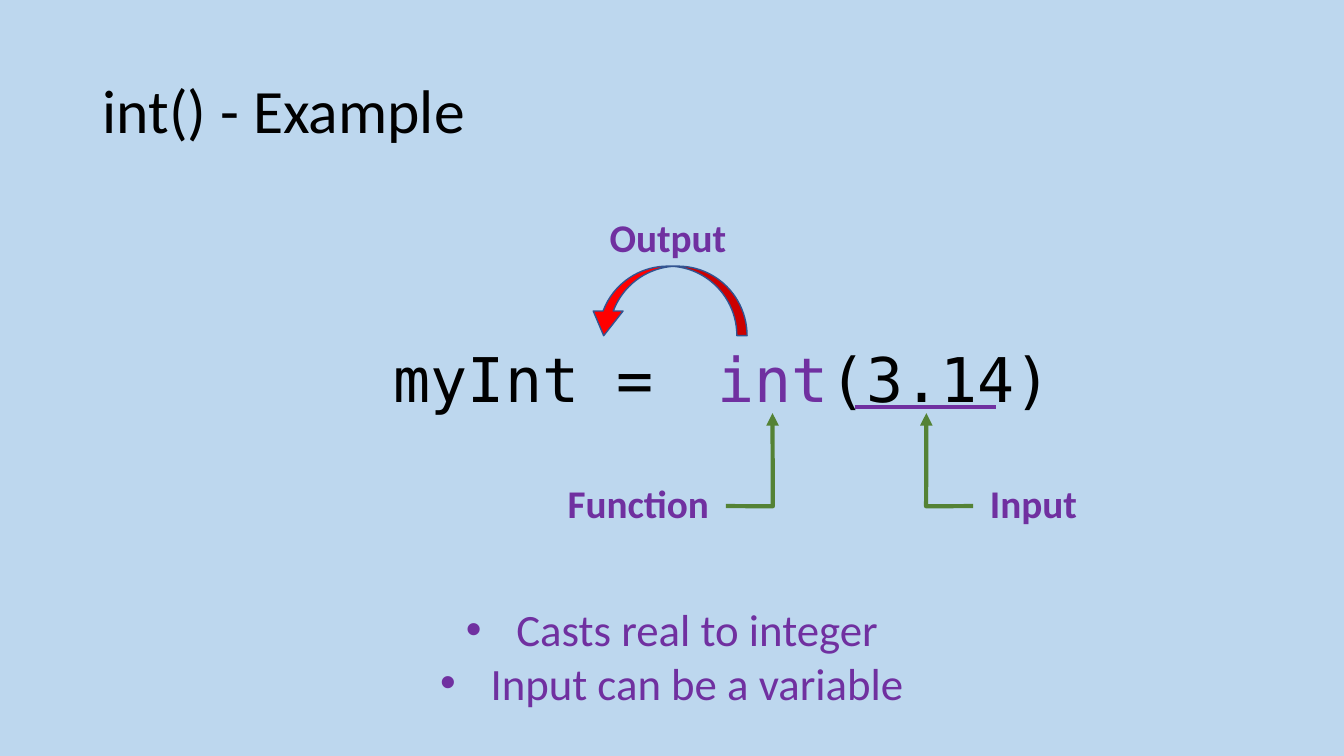
from lxml.etree import SubElement as Sub
from pptx import Presentation
from pptx.dml.color import RGBColor as Rgb
from pptx.enum.shapes import MSO_CONNECTOR as Conn, MSO_SHAPE as Geo
from pptx.enum.text import MSO_ANCHOR as Anchor, PP_ALIGN as Align
from pptx.oxml.ns import qn
from pptx.util import Inches, Pt

INK = {"back": "BDD7EE", "text": "000000", "note": "7030A0",
       "arrow": "548235", "curve": "FF0000", "edge": "325491"}
SANS, MONO = "Calibri", "DejaVu Sans Mono"


class Sheet:
    """Holds the slide and its style, and draws each kind of element."""

    def __init__(self, deck):
        self.slide = deck.slides.add_slide(deck.slide_layouts[6])
        self.shapes = self.slide.shapes
        self.paint(self.slide.background.fill, "back")

    def paint(self, fill, ink):
        fill.solid()
        fill.fore_color.rgb = Rgb.from_string(INK[ink])

    def stroke(self, line, ink, width):
        self.paint(line.fill, ink)
        line.width = Pt(width)

    def label(self, para, parts, size, face=SANS, bold=False, align=Align.LEFT):
        para.alignment = align
        for words, ink in parts:
            run = para.add_run()
            run.text = words
            font = run.font
            font.name, font.size, font.bold = face, Pt(size), bold
            font.color.rgb = Rgb.from_string(INK[ink])

    def text(self, box, rows, size, wrap=True, anchor=Anchor.TOP, **style):
        frame = self.shapes.add_textbox(*map(Inches, box)).text_frame
        frame.word_wrap, frame.vertical_anchor = wrap, anchor
        for i, parts in enumerate(rows):
            para = frame.add_paragraph() if i else frame.paragraphs[0]
            self.label(para, parts, size, **style)
        return frame

    def bullet(self, para, indent):
        props = para._p.get_or_add_pPr()
        props.set("marL", str(Inches(indent)))
        props.set("indent", str(-Inches(indent)))
        Sub(props, qn("a:buFont"), typeface="Arial")
        Sub(props, qn("a:buChar"), char="•")

    def shape(self, geo, box, adjust, flip):
        shape = self.shapes.add_shape(geo, *map(Inches, box))
        shape.shadow.inherit = False
        for i, value in enumerate(adjust):
            shape.adjustments[i] = value
        if flip:
            shape.element.spPr.find(qn("a:xfrm")).set("flipH", "1")
        return shape

    def callout(self, left, words, flip):
        adjust = (0.533, -0.026, 0.535, -0.202, -0.449, -0.201)
        shape = self.shape(Geo.LINE_CALLOUT_2_NO_BORDER,
                           (left, 4.52, 2.65, 0.94), adjust, flip)
        shape.fill.background()
        self.stroke(shape.line, "arrow", 3)
        Sub(shape.line._get_or_add_ln(), qn("a:tailEnd"), type="triangle")
        frame = shape.text_frame
        frame.vertical_anchor = Anchor.MIDDLE
        self.label(frame.paragraphs[0], [(words, "note")], 28, bold=True,
                   align=Align.RIGHT if flip else Align.LEFT)

    def arc(self, box):
        shape = self.shape(Geo.CURVED_DOWN_ARROW, box, (0.147, 0.428, 0.354), True)
        self.paint(shape.fill, "curve")
        self.stroke(shape.line, "edge", 1)

    def rule(self, left, right, top):
        ends = map(Inches, (left, top, right, top))
        line = self.shapes.add_connector(Conn.STRAIGHT, *ends)
        self.stroke(line.line, "note", 3)
        Sub(line.element.spPr, qn("a:effectLst"))


def main():
    deck = Presentation()
    deck.slide_width, deck.slide_height = Inches(13.33), Inches(7.5)
    sheet = Sheet(deck)

    title = sheet.text((0.92, 0.4, 11.5, 1.45), [[("int() - Example", "text")]],
                       44, anchor=Anchor.MIDDLE)
    title.paragraphs[0].line_spacing = 0.9

    sheet.text((7.02, 3.33, 4.32, 0.84), [[("int", "note"), ("(3.14)", "text")]],
               44, face=MONO)
    sheet.callout(4.48, "Function", True)
    sheet.text((3.09, 3.33, 3.86, 0.84), [[("myInt = ", "text")]],
               44, face=MONO, align=Align.RIGHT)

    sheet.arc((5.84, 2.64, 1.57, 0.69))
    sheet.text((5.94, 2.07, 1.37, 0.57), [[("Output", "note")]],
               28, wrap=False, bold=True, align=Align.CENTER)

    facts = ("Casts real to integer", "Input can be a variable")
    notes = sheet.text((4.24, 5.92, 4.85, 1.18), [[(fact, "note")] for fact in facts],
                       32, wrap=False, align=Align.CENTER)
    for para in notes.paragraphs:
        sheet.bullet(para, 0.5)

    sheet.callout(9.72, "Input", False)
    sheet.rule(8.48, 9.88, 4.04)
    deck.save("out.pptx")


if __name__ == "__main__":
    main()
